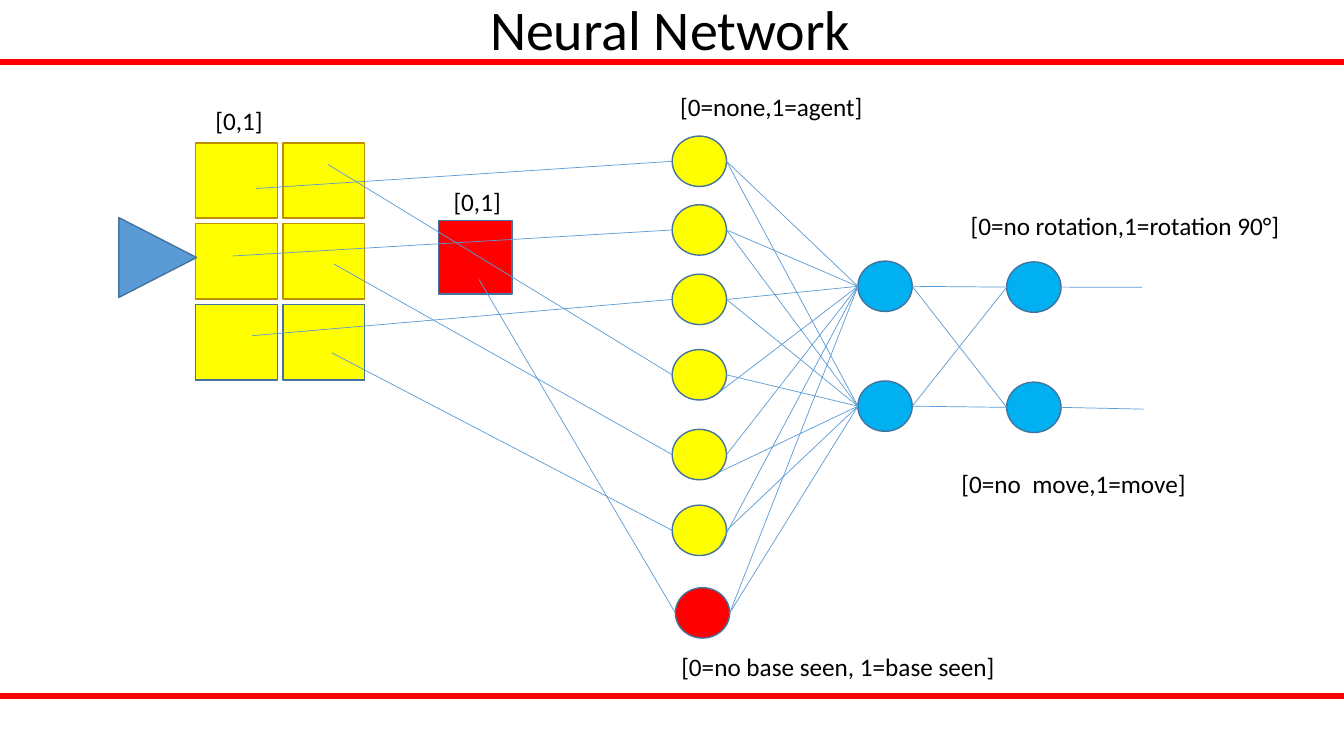
import math
from collections import namedtuple
from dataclasses import dataclass

import pptx
import pptx.dml.color
import pptx.enum.shapes
import pptx.enum.text
import pptx.oxml
import pptx.oxml.ns
import pptx.util

Cm, Pt = pptx.util.Cm, pptx.util.Pt
SHAPE = pptx.enum.shapes.MSO_SHAPE
ANCHOR = pptx.enum.text.MSO_ANCHOR
ALIGN = pptx.enum.text.PP_ALIGN

# All coordinates are in centimetres.
Box = namedtuple("Box", "left top width height")


@dataclass(frozen=True)
class Theme:
    font: str = "Calibri"
    text: str = "000000"
    red: str = "FF0000"
    yellow: str = "FFFF00"
    cyan: str = "00B0F0"
    blue: str = "5B9BD5"
    outline: str = "43739E"
    gold: str = "BD8E00"
    title_size: float = 40
    label_size: float = 18
    rule_weight: float = 4.5
    outline_weight: float = 1
    link_weight: float = 0.5


THEME = Theme()


def rgb(value):
    return pptx.dml.color.RGBColor.from_string(value)


def inside(region, left, top, width, height):
    return Box(region.left + left, region.top + top, width, height)


def add_text(slide, text, box, size=THEME.label_size, align=ALIGN.LEFT,
             anchor=ANCHOR.TOP, wrap=False, spacing=None):
    textbox = slide.shapes.add_textbox(*map(Cm, box))
    frame = textbox.text_frame
    frame.word_wrap = wrap
    frame.vertical_anchor = anchor
    if not wrap:
        frame.auto_size = pptx.enum.text.MSO_AUTO_SIZE.SHAPE_TO_FIT_TEXT
    paragraph = frame.paragraphs[0]
    paragraph.text = text
    paragraph.alignment = align
    paragraph.line_spacing = spacing
    paragraph.font.name = THEME.font
    paragraph.font.size = Pt(size)
    paragraph.font.color.rgb = rgb(THEME.text)


def add_figure(slide, kind, box, fill, line=THEME.outline):
    figure = slide.shapes.add_shape(kind, *map(Cm, box))
    figure.shadow.inherit = False
    figure.fill.solid()
    figure.fill.fore_color.rgb = rgb(fill)
    figure.line.color.rgb = rgb(line)
    figure.line.width = Pt(THEME.outline_weight)
    return figure


def add_line(slide, start, end, color=THEME.blue, weight=THEME.link_weight):
    line = slide.shapes.add_connector(
        pptx.enum.shapes.MSO_CONNECTOR.STRAIGHT, *map(Cm, (*start, *end)))
    line.line.color.rgb = rgb(color)
    line.line.width = Pt(weight)
    properties = line._element.spPr
    properties.append(pptx.oxml.parse_xml(
        "<a:effectLst %s/>" % pptx.oxml.ns.nsdecls("a")))


def rim(neuron, degrees):
    """Point on a neuron's edge, clockwise from its right side."""
    angle = math.radians(degrees)
    return (neuron.left + neuron.width / 2 * (1 + math.cos(angle)),
            neuron.top + neuron.height / 2 * (1 + math.sin(angle)))


def draw_frame(slide, page):
    for height in (1.57, 17.53):
        y = page.top + height
        add_line(slide, (page.left, y), (page.left + page.width, y),
                 THEME.red, THEME.rule_weight)
    add_text(slide, "Neural Network", inside(page, 4.19, -4.93, 25.4, 6.63),
             size=THEME.title_size, align=ALIGN.CENTER, anchor=ANCHOR.BOTTOM,
             wrap=True, spacing=0.9)


def draw_sensors(slide, region):
    """Draw the agent and what it sees; return where the input links start."""
    for row in range(3):
        for column in range(2):
            cell = inside(region, 1.96 + 2.2 * column, 1.06 + 2.04 * row, 2.06, 1.9)
            add_figure(slide, SHAPE.RECTANGLE, cell, THEME.yellow,
                       THEME.gold if row < 2 else THEME.outline)
    agent = add_figure(slide, SHAPE.ISOSCELES_TRIANGLE,
                       inside(region, 0, 2.97, 2.01, 1.96), THEME.blue)
    agent.rotation = 90
    add_figure(slide, SHAPE.RECTANGLE, inside(region, 8.08, 3.02, 1.85, 1.85), THEME.red)
    for left, top in ((2.21, 0), (8.21, 2.03)):
        add_text(slide, "[0,1]", inside(region, left, top, 1.73, 1.03))
    starts = [(3.48, 2.21), (2.9, 3.91), (3.38, 5.92),
              (5.29, 1.6), (5.44, 4.11), (5.39, 6.35), (9.1, 4.5)]
    return [(region.left + x, region.top + y) for x, y in starts]


def draw_layer(slide, region, left, tops, fill):
    neurons = [inside(region, left, top, 1.37, 1.27) for top in tops]
    for neuron in neurons:
        add_figure(slide, SHAPE.OVAL, neuron, fill)
    return neurons


def link_layers(slide, sources, targets, lower_exits=()):
    """Join every pair; pairs in lower_exits leave from the lower right."""
    for t, target in enumerate(targets):
        for s, source in enumerate(sources):
            exit_angle = 45 if (s, t) in lower_exits else 0
            add_line(slide, rim(source, exit_angle), rim(target, 180))


def draw_network(slide, region, sensor_points):
    inputs = draw_layer(slide, region, 0.05,
                        (1.25, 2.98, 4.73, 6.63, 8.64, 10.55), THEME.yellow)
    inputs += draw_layer(slide, region, 0.13, (12.63,), THEME.red)
    hidden = draw_layer(slide, region, 4.73, (4.4, 7.42), THEME.cyan)
    outputs = draw_layer(slide, region, 8.48, (4.42, 7.45), THEME.cyan)

    for point, neuron in zip(sensor_points, inputs):
        add_line(slide, point, rim(neuron, 180))
    link_layers(slide, inputs, hidden, lower_exits={(3, 0), (5, 0), (4, 1)})
    link_layers(slide, hidden, outputs)
    for neuron, (x, y) in zip(outputs, ((11.89, 5.06), (11.94, 8.13))):
        add_line(slide, rim(neuron, 0), (region.left + x, region.top + y))

    for text, left, top, width in (
            ("[0=none,1=agent]", 0, 0, 5.16),
            ("[0=no base seen, 1=base seen]", 0.03, 14.1, 8.51),
            ("[0=no rotation,1=rotation 90°]", 7.32, 3, 8.31),
            ("[0=no  move,1=move]", 7.09, 9.5, 6.22)):
        add_text(slide, text, inside(region, left, top, width, 1.03))


def main():
    page = Box(0, 0, 33.87, 19.05)
    deck = pptx.Presentation()
    deck.slide_width, deck.slide_height = Cm(page.width), Cm(page.height)
    slide = deck.slides.add_slide(deck.slide_layouts[6])
    draw_frame(slide, page)
    sensor_points = draw_sensors(slide, Box(2.97, 2.54, 9.93, 7.06))
    draw_network(slide, Box(16.89, 2.18, 15.62, 15.12), sensor_points)
    deck.save("out.pptx")


if __name__ == "__main__":
    main()
